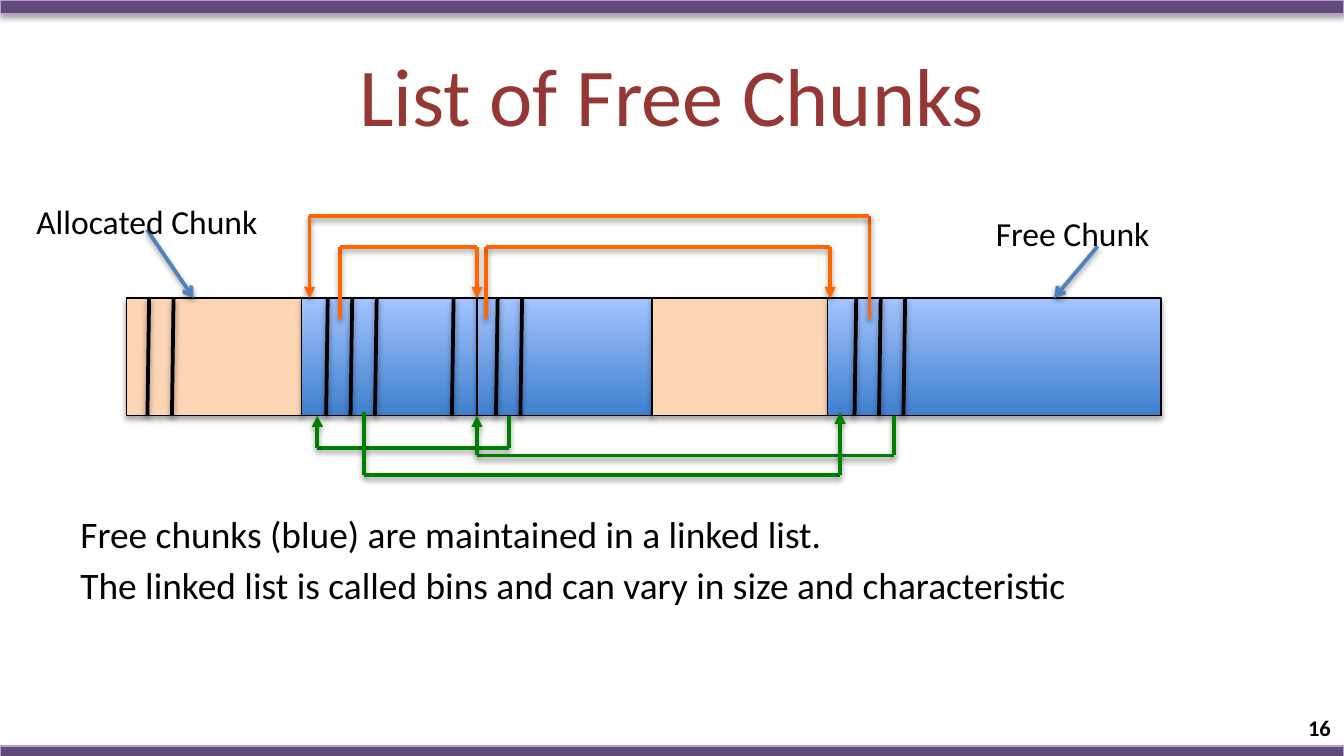
from lxml.etree import SubElement
from pptx import Presentation
from pptx.dml.color import RGBColor
from pptx.enum.shapes import MSO_CONNECTOR as Connector, MSO_SHAPE as Shape
from pptx.enum.text import MSO_ANCHOR as Anchor, PP_ALIGN as Align
from pptx.oxml.ns import qn
from pptx.util import Pt

BLACK, PURPLE, LILAC = "000000", "604A7B", "B3A2C7"
PEACH, ORANGE, GREEN, BLUE = "FCD5B5", "FF6600", "008000", "4F81BD"
BLUE_FADE = ("3F80CE", "A4C4FF")
HEAP_LEFT, HEAP_TOP, HEAP_HEIGHT, CHUNK = 67.7, 159.7, 63, 93.9
HEAP_BOTTOM = HEAP_TOP + HEAP_HEIGHT


def colour(code):
    """Turn a hex string into a colour."""
    return RGBColor.from_string(code)


def add_shadow(shape, opacity):
    """Give a shape or connector a soft shadow straight below it."""
    effects = SubElement(shape._element.spPr, qn("a:effectLst"))
    shadow = SubElement(effects, qn("a:outerShdw"), blurRad=str(Pt(3.1)),
                        dist=str(Pt(1.7)), dir="5400000", rotWithShape="0")
    tint = SubElement(shadow, qn("a:srgbClr"), val=BLACK)
    SubElement(tint, qn("a:alpha"), val=str(opacity * 1000))


def add_block(page, left, top, width, height, fill, edge):
    """Draw a shadowed rectangle with a plain fill or a vertical fade."""
    block = page.shapes.add_shape(Shape.RECTANGLE, Pt(left), Pt(top), Pt(width), Pt(height))
    if isinstance(fill, tuple):
        block.fill.gradient()
        block.fill.gradient_angle = 90
        for stop, code, position in zip(block.fill.gradient_stops, fill, (0, 1)):
            stop.color.rgb = colour(code)
            stop.position = position
    else:
        block.fill.solid()
        block.fill.fore_color.rgb = colour(fill)
    block.line.color.rgb = colour(edge)
    block.line.width = Pt(0.75)
    add_shadow(block, 35)


def add_line(page, start, end, code, head=None):
    """Draw a shadowed straight line, with an arrowhead if one is named."""
    line = page.shapes.add_connector(Connector.STRAIGHT, *map(Pt, start + end))
    line.line.color.rgb = colour(code)
    line.line.width = Pt(2)
    if head:
        SubElement(line.line._get_or_add_ln(), qn("a:tailEnd"), type=head)
    add_shadow(line, 38)


def add_link(page, code, tail, level, target):
    """Draw a pointer that leaves a chunk, runs level and enters another."""
    corner, turn = (tail[0], level), (target[0], level)
    add_line(page, tail, corner, code)
    add_line(page, corner, turn, code)
    add_line(page, turn, target, code, "triangle")


def add_text(page, left, top, width, height, lines, size, code=BLACK,
             align=Align.LEFT, anchor=Anchor.TOP, wrap=True, bold=False):
    """Write lines of text as paragraphs of one box."""
    box = page.shapes.add_textbox(Pt(left), Pt(top), Pt(width), Pt(height))
    frame = box.text_frame
    frame.word_wrap = wrap
    frame.vertical_anchor = anchor
    frame.text = "\n".join(lines)
    for index, para in enumerate(frame.paragraphs):
        para.alignment = align
        if index:
            para.space_before = Pt(size * 0.17)
        for span in para.runs:
            span.font.name = "Calibri"
            span.font.size = Pt(size)
            span.font.bold = bold
            span.font.color.rgb = colour(code)


def add_frame(page):
    """Draw the bars and the page number."""
    for top in (0, 399.6):
        add_block(page, 0, top, 720, 7.2, PURPLE, LILAC)
    add_text(page, 552, 379, 168, 21.6, ["16"], 12,
             align=Align.RIGHT, anchor=Anchor.MIDDLE, bold=True)


def add_heap(page):
    """Draw the row of chunks and the dividers of their fields."""
    chunks = ((PEACH, CHUNK), (BLUE_FADE, CHUNK), (BLUE_FADE, CHUNK),
              (PEACH, CHUNK), (BLUE_FADE, 178.7))
    for index, (fill, width) in enumerate(chunks):
        add_block(page, HEAP_LEFT + index * CHUNK, HEAP_TOP, width, HEAP_HEIGHT, fill, BLACK)
    for first, count in ((79.9, 2), (175.6, 3), (243, 1), (266.6, 2), (458.7, 3)):
        for index in range(count):
            x = first + index * 13.1
            add_line(page, (x, HEAP_TOP), (x - 0.9, HEAP_BOTTOM), BLACK)


def add_links(page):
    """Draw the orange links above the heap and the green ones below."""
    for tail, level, target in ((182.1, 132.3, 255.5), (260.4, 132.3, 444.7),
                                (465.8, 115.7, 165.8)):
        add_link(page, ORANGE, (tail, 171), level, (target, HEAP_TOP))
    for tail, level, target, end in ((272.7, 240, 170, HEAP_BOTTOM),
                                     (478.8, 244, 255.5, HEAP_BOTTOM),
                                     (195, 254.3, 450, 221)):
        add_link(page, GREEN, (tail, end), level, (target, end))


def add_labels(page):
    """Name the two kinds of chunk and point at one of each."""
    add_line(page, (78.7, 123), (103.7, HEAP_TOP), BLUE, "arrow")
    add_line(page, (588, 132), (564.7, HEAP_TOP), BLUE, "arrow")
    add_text(page, 12.4, 104.1, 134.6, 29, ["Allocated Chunk"], 18, wrap=False)
    add_text(page, 526.4, 110.4, 98, 29, ["Free Chunk"], 18, wrap=False)


def main():
    """Build the slide and save it."""
    deck = Presentation()
    deck.slide_width, deck.slide_height = Pt(720), Pt(405)
    page = deck.slides.add_slide(deck.slide_layouts[6])
    add_frame(page)
    add_text(page, 36, 16.6, 648, 67.5, ["List of Free Chunks"], 44, "953735",
             align=Align.CENTER, anchor=Anchor.MIDDLE)
    add_text(page, 36, 270.3, 648, 91.4,
             ["Free chunks (blue) are maintained in a linked list.",
              "The linked list is called bins and can vary in size and characteristic"], 20)
    add_heap(page)
    add_links(page)
    add_labels(page)
    deck.save("out.pptx")


if __name__ == "__main__":
    main()
